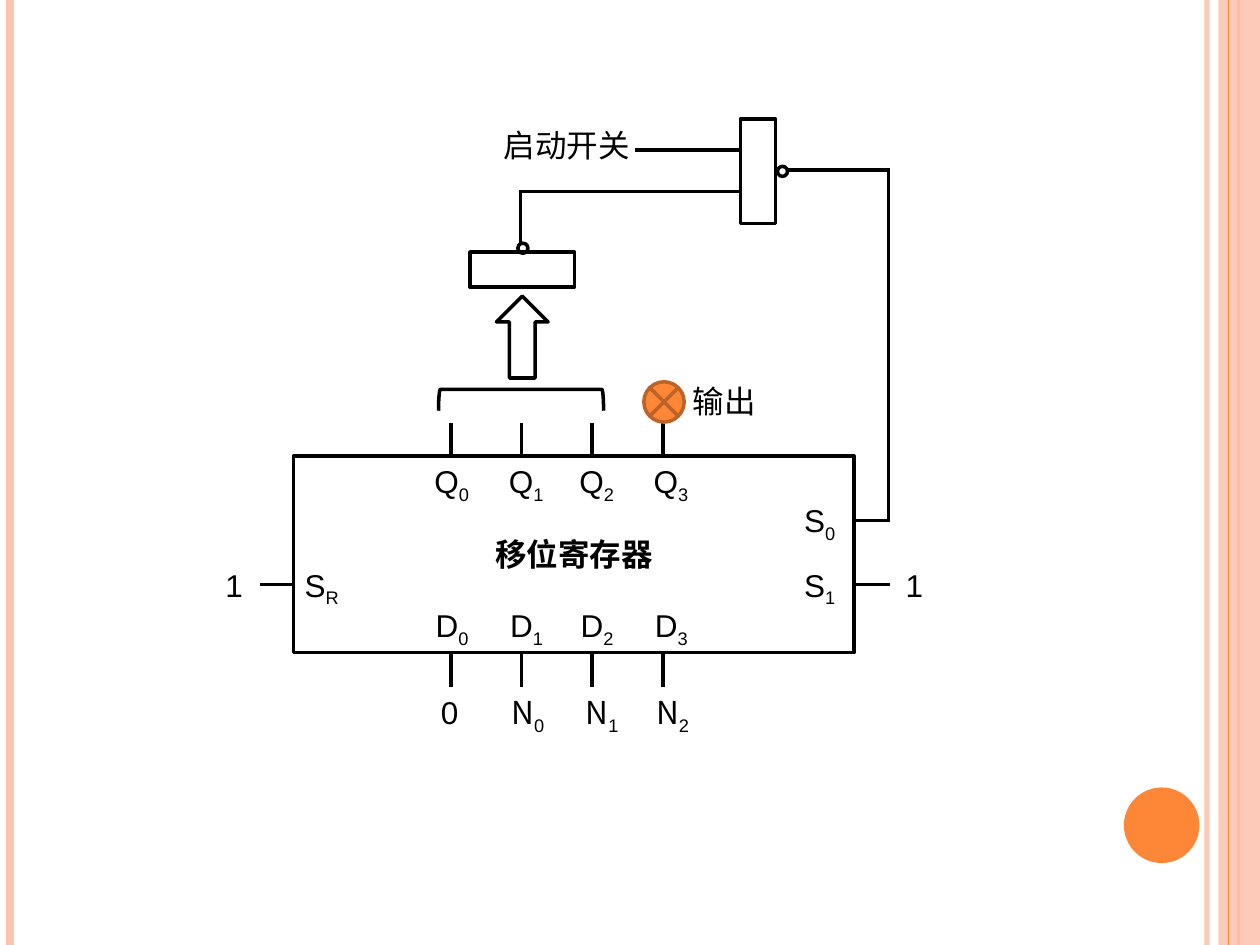
from dataclasses import dataclass
from typing import Optional

from lxml.etree import SubElement
from pptx import Presentation
from pptx.dml.color import RGBColor
from pptx.enum.shapes import MSO_CONNECTOR as Connector, MSO_SHAPE as Shape
from pptx.enum.text import MSO_ANCHOR as Anchor, PP_ALIGN as Align
from pptx.oxml.ns import qn
from pptx.util import Inches, Pt


@dataclass(frozen=True)
class Theme:
    """Colours, fonts and sizes of the slide."""
    ink: str = "000000"
    orange: str = "FE8637"
    lamp_edge: str = "BC6329"
    peach: str = "FEC3AE"
    latin: str = "Arial"
    chinese: str = "Noto Sans CJK SC"
    text_size: float = 18
    line_width: float = 2


THEME = Theme()


@dataclass(frozen=True)
class Line:
    """A straight line between two points."""
    x1: float
    y1: float
    x2: float
    y2: float
    color: str = THEME.ink
    width: float = THEME.line_width
    opacity: int = 100


@dataclass(frozen=True)
class Block:
    """A preset shape with its place and paint."""
    kind: Shape
    left: float
    top: float
    width: float
    height: float
    fill: Optional[str] = None
    line: Optional[str] = THEME.ink
    rotation: float = 0
    opacity: int = 100


@dataclass(frozen=True)
class Label:
    """A text with an optional subscript."""
    left: float
    top: float
    text: str
    subscript: str = ""
    font: str = THEME.latin
    width: float = 0.66
    right: bool = False


def set_opacity(element, percent: int) -> None:
    """Make the first solid colour of an element translucent."""
    if percent < 100:
        color = next(element.iter(qn("a:srgbClr")))
        SubElement(color, qn("a:alpha")).set("val", str(percent * 1000))


def style_run(run, font: str, bold: bool = False) -> None:
    """Give a run its font, size and colour."""
    run.font.name = font
    run.font.size = Pt(THEME.text_size)
    run.font.bold = bold
    run.font.color.rgb = RGBColor.from_string(THEME.ink)
    if font == THEME.chinese:
        SubElement(run.font._element, qn("a:ea")).set("typeface", font)


def draw_line(slide, line: Line) -> None:
    """Draw a line without a shadow."""
    connector = slide.shapes.add_connector(
        Connector.STRAIGHT, Inches(line.x1), Inches(line.y1), Inches(line.x2), Inches(line.y2))
    connector.line.color.rgb = RGBColor.from_string(line.color)
    connector.line.width = Pt(line.width)
    properties = connector._element.spPr
    set_opacity(properties, line.opacity)
    SubElement(properties, qn("a:effectLst"))


def draw_block(slide, block: Block):
    """Draw a preset shape and return it."""
    shape = slide.shapes.add_shape(
        block.kind, Inches(block.left), Inches(block.top), Inches(block.width), Inches(block.height))
    shape.shadow.inherit = False
    shape.rotation = block.rotation
    if block.fill:
        shape.fill.solid()
        shape.fill.fore_color.rgb = RGBColor.from_string(block.fill)
        set_opacity(shape._element.spPr, block.opacity)
    else:
        shape.fill.background()
    if block.line:
        shape.line.color.rgb = RGBColor.from_string(block.line)
        shape.line.width = Pt(THEME.line_width)
    else:
        shape.line.fill.background()
    return shape


def draw_label(slide, label: Label) -> None:
    """Write a label, its last part lowered."""
    box = slide.shapes.add_textbox(
        Inches(label.left), Inches(label.top), Inches(label.width), Inches(0.4))
    frame = box.text_frame
    frame.word_wrap = True
    frame.text = label.text
    paragraph = frame.paragraphs[0]
    style_run(paragraph.runs[0], label.font)
    if label.right:
        paragraph.alignment = Align.RIGHT
        frame.margin_right = Inches(0.15)
    if label.subscript:
        run = paragraph.add_run()
        run.text = label.subscript
        style_run(run, THEME.latin)
        run.font._element.set("baseline", "-25000")


def draw_frame(slide) -> None:
    """Draw the side stripes and the round ornament."""
    draw_line(slide, Line(9.58, 0, 9.58, 7.5, THEME.peach, 3, 90))
    draw_line(slide, Line(0.08, 0, 0.08, 7.5, THEME.peach, 4.5))
    draw_line(slide, Line(9.83, 0, 9.83, 7.5, THEME.orange, 1.5))
    draw_block(slide, Block(Shape.RECTANGLE, 9.67, 0, 0.33, 7.5, THEME.peach, None, opacity=87))
    draw_line(slide, Line(9.75, 0, 9.75, 7.5, THEME.orange, 0.75))
    draw_block(slide, Block(Shape.OVAL, 8.92, 6.25, 0.6, 0.6, THEME.orange, None))


def draw_chip(slide) -> None:
    """Draw the register with its pins and pin names."""
    chip = draw_block(slide, Block(Shape.RECTANGLE, 2.33, 3.62, 4.45, 1.56))
    chip.text_frame.text = "移位寄存器"
    chip.text_frame.vertical_anchor = Anchor.MIDDLE
    paragraph = chip.text_frame.paragraphs[0]
    paragraph.alignment = Align.CENTER
    style_run(paragraph.runs[0], THEME.latin, bold=True)

    for pin, left in enumerate((3.35, 3.94, 4.5, 5.09)):
        x = 3.58 + 0.56 * pin
        for top in (3.36, 5.18):
            draw_line(slide, Line(x, top, x, top + 0.27))
        draw_label(slide, Label(left, 3.62, "Q", str(pin)))
        draw_label(slide, Label(left + 0.01, 4.76, "D", str(pin)))
    draw_label(slide, Label(3.4, 5.45, "0"))
    for index, left in enumerate((3.96, 4.55, 5.11)):
        draw_label(slide, Label(left, 5.45, "N", str(index), THEME.chinese))

    for left, top, subscript in ((6.12, 3.93, "0"), (6.12, 4.44, "1"), (2.18, 4.44, "R")):
        draw_label(slide, Label(left, top, "S", subscript, right=True))
    for left in (1.69, 7.09):
        draw_label(slide, Label(left, 4.44, "1"))
    for start, end, y in ((7.06, 6.78, 4.13), (7.06, 6.78, 4.64), (2.33, 2.06, 4.64)):
        draw_line(slide, Line(start, y, end, y))


def draw_feedback(slide) -> None:
    """Draw the gates, their wiring and the output lamp."""
    for block in (
        Block(Shape.LEFT_BRACKET, 4.05, 2.52, 0.17, 1.31, rotation=90),
        Block(Shape.UP_ARROW, 3.94, 2.35, 0.41, 0.65),
        Block(Shape.RECTANGLE, 3.73, 2, 0.83, 0.28),
        Block(Shape.OVAL, 4.11, 1.93, 0.08, 0.08),
        Block(Shape.RECTANGLE, 5.6, 1.22, 0.83, 0.28, rotation=90),
        Block(Shape.OVAL, 6.17, 1.32, 0.08, 0.08, rotation=90),
        Block(Shape.FLOWCHART_SUMMING_JUNCTION, 5.11, 3.03, 0.32, 0.32,
              THEME.orange, THEME.lamp_edge),
    ):
        draw_block(slide, block)
    for line in (
        Line(4.13, 1.51, 4.13, 1.93),
        Line(5.88, 1.52, 4.12, 1.52),
        Line(5.88, 1.19, 5.04, 1.19),
        Line(7.06, 1.35, 6.25, 1.35),
        Line(7.05, 1.36, 7.05, 4.14),
    ):
        draw_line(slide, line)
    draw_label(slide, Label(3.9, 0.95, "启动开关", font=THEME.chinese, width=1.33))
    draw_label(slide, Label(5.4, 2.98, "输出", font=THEME.chinese, width=1.33))


def main() -> None:
    """Build and save the slide."""
    presentation = Presentation()
    presentation.slide_width = Inches(10)
    presentation.slide_height = Inches(7.5)
    slide = presentation.slides.add_slide(presentation.slide_layouts[6])
    draw_frame(slide)
    draw_chip(slide)
    draw_feedback(slide)
    presentation.save("out.pptx")


if __name__ == "__main__":
    main()
